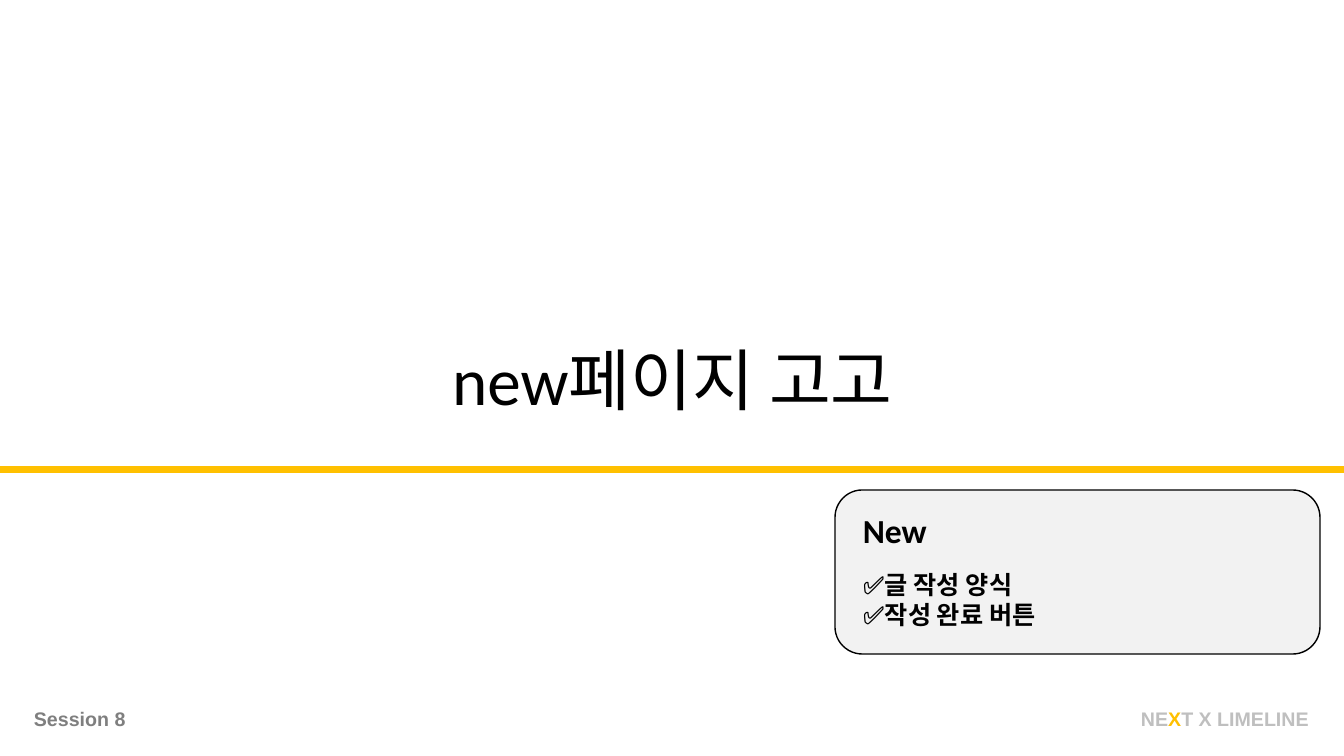
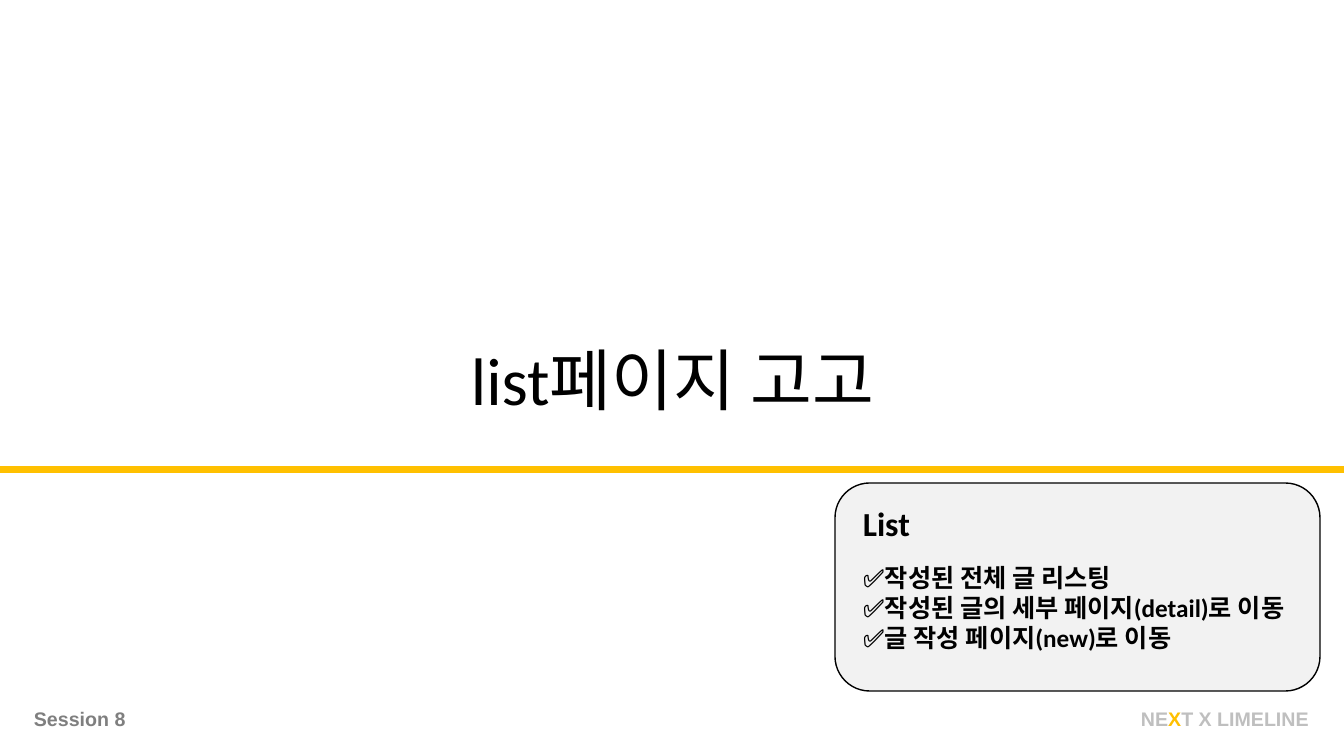
from dataclasses import dataclass

from pptx import Presentation
from pptx.dml.color import RGBColor
from pptx.enum.shapes import MSO_SHAPE
from pptx.enum.text import MSO_ANCHOR, MSO_AUTO_SIZE, PP_ALIGN
from pptx.util import Emu, Pt

RECT = MSO_SHAPE.RECTANGLE
ROUND_RECT = MSO_SHAPE.ROUNDED_RECTANGLE
TOP = MSO_ANCHOR.TOP
MIDDLE = MSO_ANCHOR.MIDDLE
NO_AUTOFIT = MSO_AUTO_SIZE.NONE
LEFT = PP_ALIGN.LEFT
CENTER = PP_ALIGN.CENTER

SLIDE_W, SLIDE_H = 1344, 756
EMU_PER_PX = 12192000 / SLIDE_W
TITLE_ONLY = 5


@dataclass(frozen=True)
class Theme:
    white: str = "FFFFFF"
    ink: str = "000000"
    accent: str = "FFC000"
    panel: str = "F2F2F2"
    session: str = "7F7F7F"
    brand: str = "BFBFBF"
    body_font: str = "Calibri"
    footer_font: str = "Arial"
    title_size: int = 48
    heading_size: int = 24
    item_size: int = 18
    footer_size: int = 14
    line_width: int = 1


@dataclass(frozen=True)
class Box:
    x: int
    y: int
    w: int
    h: int


@dataclass(frozen=True)
class Run:
    text: str
    color: str


@dataclass(frozen=True)
class TextStyle:
    font: str
    size: int
    bold: bool = True
    align: PP_ALIGN = LEFT
    anchor: MSO_ANCHOR = TOP


@dataclass(frozen=True)
class Page:
    title: str
    heading: str
    items: tuple[str, ...]
    card_top: int
    card_height: int


THEME = Theme()
TITLE = TextStyle(THEME.body_font, THEME.title_size, False, CENTER, MIDDLE)
HEADING = TextStyle(THEME.body_font, THEME.heading_size)
ITEM = TextStyle(THEME.body_font, THEME.item_size)
FOOTER = TextStyle(THEME.footer_font, THEME.footer_size)

TITLE_BOX = Box(379, 333, 587, 92)
RULE_BOX = Box(0, 467, SLIDE_W, 5)
SESSION_BOX = Box(24, 702, 190, 34)
BRAND_BOX = Box(1131, 702, 190, 34)
CARD_X, CARD_W = 835, 485
CARD_INDENT = 18
HEADING_OFFSET, HEADING_H = 15, 50
ITEMS_OFFSET, ITEM_LINE_H, ITEMS_PADDING = 74, 30, 12

PAGES = (
    Page("new페이지 고고", "New", ("✅글 작성 양식", "✅작성 완료 버튼"), 490, 164),
    Page(
        "list페이지 고고",
        "List",
        (
            "✅작성된 전체 글 리스팅",
            "✅작성된 글의 세부 페이지(detail)로 이동",
            "✅글 작성 페이지(new)로 이동",
        ),
        483,
        208,
    ),
)


def px(value: int) -> Emu:
    return Emu(round(value * EMU_PER_PX))


def bounds(box: Box) -> tuple[Emu, Emu, Emu, Emu]:
    return px(box.x), px(box.y), px(box.w), px(box.h)


def rgb(color: str) -> RGBColor:
    return RGBColor.from_string(color)


def write(tf, paragraphs: list[list[Run]], style: TextStyle) -> None:
    tf.word_wrap = True
    tf.auto_size = NO_AUTOFIT
    tf.vertical_anchor = style.anchor
    for i, runs in enumerate(paragraphs):
        p = tf.add_paragraph() if i else tf.paragraphs[0]
        p.alignment = style.align
        for run in runs:
            r = p.add_run()
            r.text = run.text
            r.font.name = style.font
            r.font.size = Pt(style.size)
            r.font.bold = style.bold
            r.font.color.rgb = rgb(run.color)


def add_title(s, text: str) -> None:
    sp = s.shapes.title
    sp.left, sp.top, sp.width, sp.height = bounds(TITLE_BOX)
    sp.fill.solid()
    sp.fill.fore_color.rgb = rgb(THEME.white)
    write(sp.text_frame, [[Run(text, THEME.ink)]], TITLE)


def add_text(s, box: Box, paragraphs: list[list[Run]], style: TextStyle) -> None:
    sp = s.shapes.add_textbox(*bounds(box))
    write(sp.text_frame, paragraphs, style)


def add_panel(s, kind: MSO_SHAPE, box: Box, fill: str, line: str) -> None:
    sp = s.shapes.add_shape(kind, *bounds(box))
    sp.shadow.inherit = False
    sp.fill.solid()
    sp.fill.fore_color.rgb = rgb(fill)
    sp.line.color.rgb = rgb(line)
    sp.line.width = Pt(THEME.line_width)


def add_frame(s) -> None:
    brand = [
        Run("NE", THEME.brand),
        Run("X", THEME.accent),
        Run("T X LIMELINE", THEME.brand),
    ]
    add_text(s, BRAND_BOX, [brand], FOOTER)
    add_text(s, SESSION_BOX, [[Run("Session 8", THEME.session)]], FOOTER)
    add_panel(s, RECT, RULE_BOX, THEME.accent, THEME.accent)


def add_card(s, page: Page) -> None:
    card = Box(CARD_X, page.card_top, CARD_W, page.card_height)
    add_panel(s, ROUND_RECT, card, THEME.panel, THEME.ink)
    x, w = card.x + CARD_INDENT, card.w - CARD_INDENT
    items_h = ITEM_LINE_H * len(page.items) + ITEMS_PADDING
    items = [[Run(item, THEME.ink)] for item in page.items]
    add_text(s, Box(x, card.y + ITEMS_OFFSET, w, items_h), items, ITEM)
    heading_box = Box(x, card.y + HEADING_OFFSET, w, HEADING_H)
    add_text(s, heading_box, [[Run(page.heading, THEME.ink)]], HEADING)


def main() -> None:
    prs = Presentation()
    prs.slide_width, prs.slide_height = px(SLIDE_W), px(SLIDE_H)
    for page in PAGES:
        s = prs.slides.add_slide(prs.slide_layouts[TITLE_ONLY])
        add_title(s, page.title)
        add_frame(s)
        add_card(s, page)
    prs.save("out.pptx")


if __name__ == "__main__":
    main()
